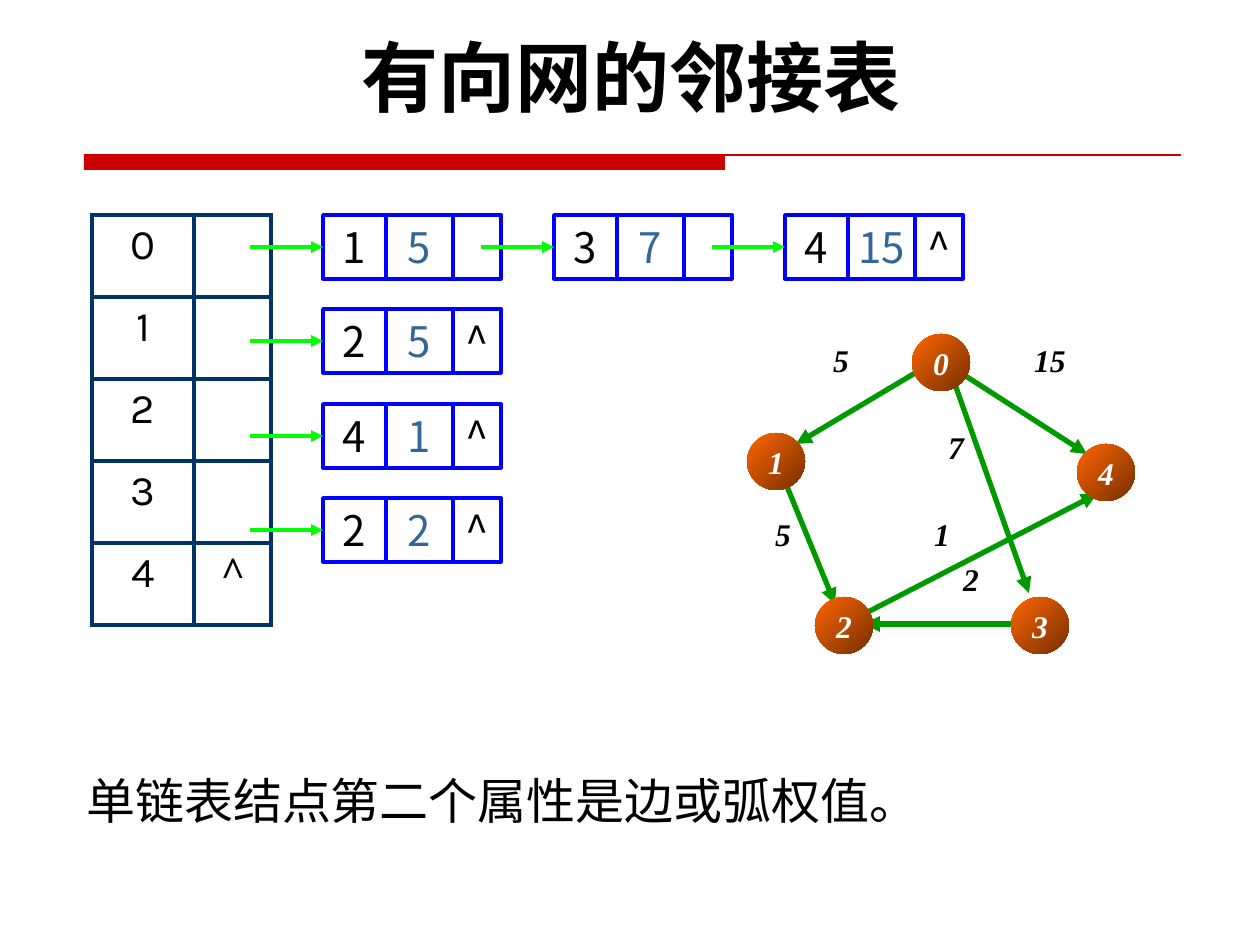
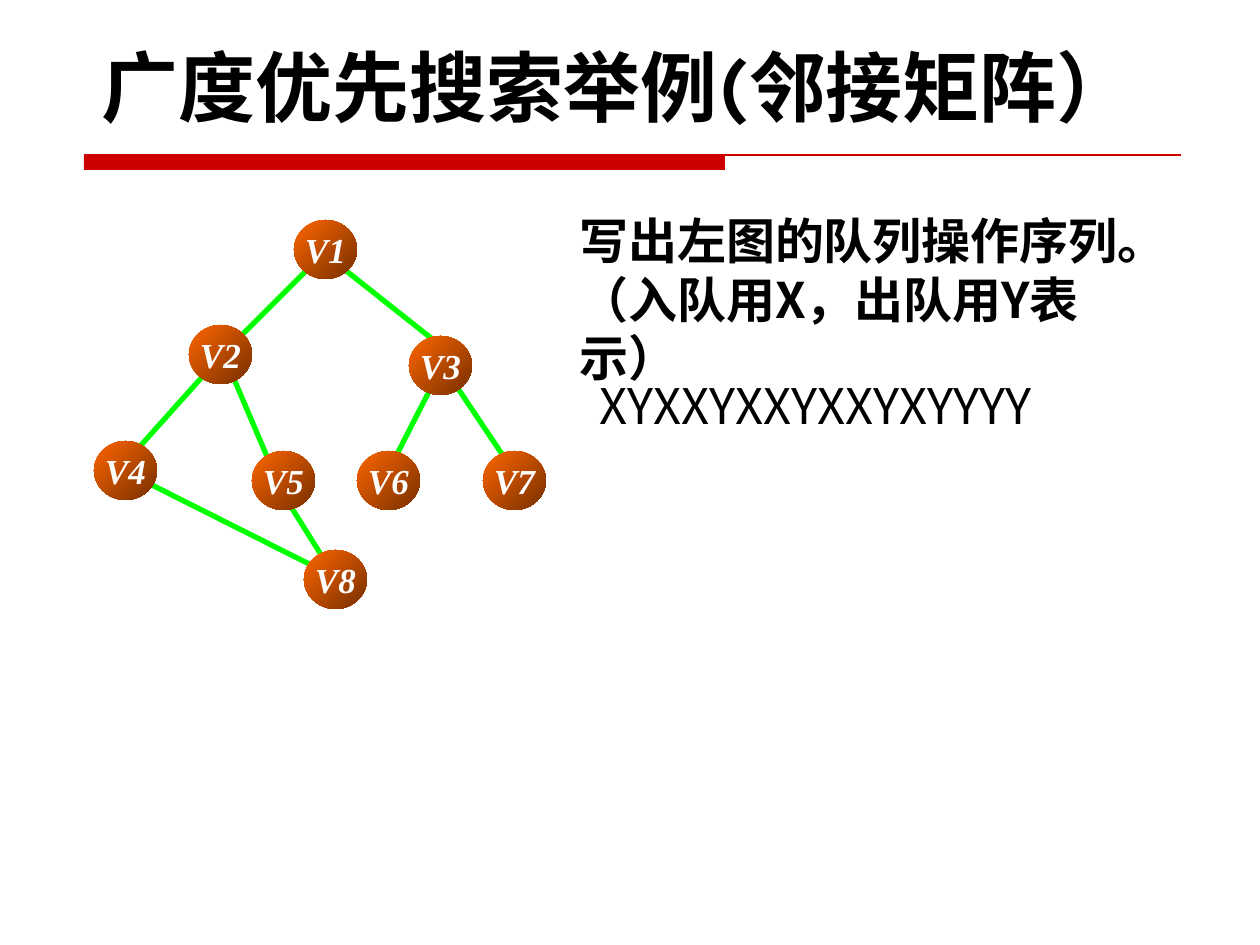
import pptx
import pptx.dml.color
import pptx.enum.dml
import pptx.enum.shapes
import pptx.enum.text
import pptx.oxml
import pptx.oxml.ns
import pptx.util
from lxml import etree

COLORS = {
    "black": "000000", "white": "FFFFFF", "band": "CC0000", "table": "003366",
    "cell": "0000FF", "weight": "336699", "pointer": "00FF00", "edge": "009900",
    "node_light": "FF6600", "node_dark": "762F00",
}
TITLE_FONT, BODY_FONT, NODE_FONT = "Karla", "Noto Sans CJK SC", "Times New Roman"
ALIGN = pptx.enum.text.PP_ALIGN
ANCHOR = pptx.enum.text.MSO_ANCHOR
SHAPE = pptx.enum.shapes.MSO_SHAPE
STRAIGHT = pptx.enum.shapes.MSO_CONNECTOR.STRAIGHT
EMU_PER_INCH, PX_PER_INCH = 914400, 126


def px(length):
    return pptx.util.Emu(round(length * EMU_PER_INCH / PX_PER_INCH))


def color(name):
    return pptx.dml.color.RGBColor.from_string(COLORS[name])


def write(frame, text, size, font, ink="black", bold=False, italic=False, align=ALIGN.CENTER):
    frame.text = text
    paragraph = frame.paragraphs[0]
    paragraph.alignment = align
    paragraph.font.size = pptx.util.Pt(size)
    paragraph.font.name = font
    paragraph.font.bold, paragraph.font.italic = bold, italic
    paragraph.font.color.rgb = color(ink)
    # East Asian characters take the body font
    latin = paragraph._p.pPr.find(".//" + pptx.oxml.ns.qn("a:latin"))
    east_asian = etree.Element(pptx.oxml.ns.qn("a:ea"), typeface=BODY_FONT)
    latin.addnext(east_asian)


def add_text(slide, box, text, size, font, anchor=ANCHOR.TOP, **style):
    frame = slide.shapes.add_textbox(*map(px, box)).text_frame
    frame.word_wrap = True
    frame.vertical_anchor = anchor
    write(frame, text, size, font, **style)


def add_line(slide, ends, ink, width, arrow=False):
    line = slide.shapes.add_connector(STRAIGHT, *map(px, ends))
    line.line.color.rgb = color(ink)
    line.line.width = pptx.util.Pt(width)
    properties = line._element.spPr
    if arrow:
        etree.SubElement(properties.find(pptx.oxml.ns.qn("a:ln")),
                         pptx.oxml.ns.qn("a:tailEnd"), type="triangle")
    etree.SubElement(properties, pptx.oxml.ns.qn("a:effectLst"))
    return line


def add_shape(slide, kind, box):
    shape = slide.shapes.add_shape(kind, *map(px, box))
    shape.shadow.inherit = False
    frame = shape.text_frame
    frame.margin_left = frame.margin_right = 0
    frame.vertical_anchor = ANCHOR.MIDDLE
    return shape


def add_titled_slide(presentation, title, box):
    slide = presentation.slides.add_slide(presentation.slide_layouts[5])
    # Red band and rule
    left, top = 84, 155
    band = add_shape(slide, SHAPE.RECTANGLE, (left, top, 641, 15))
    band.fill.solid()
    band.fill.fore_color.rgb = color("band")
    band.line.fill.background()
    add_line(slide, (left, top, left + 1097, top), "band", 0.75)
    # Title
    placeholder = slide.shapes.title
    placeholder.left, placeholder.top, placeholder.width, placeholder.height = map(px, box)
    placeholder.text_frame.vertical_anchor = ANCHOR.MIDDLE
    write(placeholder.text_frame, title, 44, TITLE_FONT, bold=True)
    return slide


def add_graph(slide, origin, node_size, text_size, nodes, edges, edge_ink, arrow):
    left, top = origin
    for x1, y1, x2, y2 in edges:
        add_line(slide, (left + x1, top + y1, left + x2, top + y2), edge_ink, 3, arrow)
    for name, (x, y) in nodes.items():
        node = add_shape(slide, SHAPE.OVAL, (left + x, top + y, *node_size))
        node.line.fill.background()
        node.fill.gradient()
        node.fill.gradient_angle = 315
        for stop, ink in zip(node.fill.gradient_stops, ("node_light", "node_dark")):
            stop.color.rgb = color(ink)
        node.text_frame.word_wrap = False
        write(node.text_frame, name, text_size, NODE_FONT, "white", bold=True, italic=True)


def add_vertex_table(slide, box, column_widths, vertices):
    table = slide.shapes.add_table(len(vertices), 2, *map(px, box)).table
    table.first_row = table.horz_banding = False
    for column, width in zip(table.columns, column_widths):
        column.width = px(width)
    for row, vertex in enumerate(vertices):
        table.rows[row].height = px(box[3] / len(vertices))
        write(table.cell(row, 0).text_frame, vertex, 24, TITLE_FONT)
    write(table.cell(len(vertices) - 1, 1).text_frame, "^", 24, NODE_FONT, bold=True, italic=True)
    for cell in table.iter_cells():
        properties = cell._tc.get_or_add_tcPr()
        for side in ("lnL", "lnR", "lnT", "lnB"):
            properties.append(pptx.oxml.parse_xml(
                f'<a:{side} {pptx.oxml.ns.nsdecls("a")} w="28575"><a:solidFill>'
                f'<a:srgbClr val="{COLORS["table"]}"/></a:solidFill></a:{side}>'))
        cell.fill.background()


def add_linked_lists(slide, origin, lists):
    left, top = origin
    widths, height, arrow_length = (63, 67, 48), 64, 73
    for row, list_nodes in enumerate(lists):
        y = top + 189 * row // 2
        for position, (vertex, weight) in enumerate(list_nodes):
            node_left = x = left + 231 * position
            pointer = "^" if position == len(list_nodes) - 1 else ""
            cells = []
            for text, width, ink in zip((vertex, weight, pointer), widths,
                                        ("black", "weight", "black")):
                cell = add_shape(slide, SHAPE.RECTANGLE, (x, y, width, height))
                cell.fill.background()
                cell.line.color.rgb = color("cell")
                cell.line.width = pptx.util.Pt(2)
                if text:
                    write(cell.text_frame, text, 24, BODY_FONT, ink)
                cells.append(cell)
                x += width
            middle = y + height / 2
            arrow = add_line(slide, (node_left - arrow_length, middle, node_left, middle),
                             "pointer", 2.25, arrow=True)
            arrow.end_connect(cells[0], 1)


def add_adjacency_slide(presentation):
    slide = add_titled_slide(presentation, "有向网的邻接表", (48, 23, 1166, 106))
    add_vertex_table(slide, (92, 215, 179, 410), (102, 77), "01234")
    # Weighted directed graph
    left, top = origin = 747, 334
    nodes = {"0": (165, 0), "1": (0, 99), "2": (68, 263), "3": (264, 263), "4": (330, 110)}
    edges = [(214, 39, 340, 120), (39, 150, 88, 270), (185, 29, 49, 110),
             (204, 39, 282, 259), (264, 290, 117, 290), (117, 280, 350, 160)]
    add_graph(slide, origin, (58, 57), 18, nodes, edges, "edge", arrow=True)
    weights = [("5", 94, 1), ("5", 36, 175), ("15", 303, 1),
               ("1", 195, 175), ("7", 209, 88), ("2", 224, 220)]
    for weight, center, y in weights:
        add_text(slide, (left + center - 36, top + y, 72, 63), weight, 18, NODE_FONT,
                 bold=True, italic=True)
    # One linked list per vertex with outgoing edges
    add_linked_lists(slide, (323, 215), [
        [("1", "5"), ("3", "7"), ("4", "15")], [("2", "5")], [("4", "1")], [("2", "2")]])
    add_text(slide, (74, 762, 1171, 74), "单链表结点第二个属性是边或弧权值。", 28, BODY_FONT,
             ANCHOR.BOTTOM, align=ALIGN.LEFT)


def add_search_slide(presentation):
    slide = add_titled_slide(presentation, "广度优先搜索举例(邻接矩阵）", (35, 33, 1166, 106))
    nodes = {"V1": (200, 0), "V2": (95, 105), "V3": (315, 116), "V4": (0, 221),
             "V5": (158, 231), "V6": (263, 231), "V7": (389, 231), "V8": (210, 330)}
    edges = [(126, 137, 32, 242), (221, 42, 126, 137), (189, 274, 126, 126),
             (241, 357, 32, 252), (241, 357, 189, 274), (241, 42, 347, 126),
             (347, 148, 294, 252), (357, 158, 420, 252)]
    add_graph(slide, (94, 220), (63, 59), 20, nodes, edges, "pointer", arrow=False)
    # Exercise and answer
    add_text(slide, (567, 204, 620, 131), "写出左图的队列操作序列。（入队用X，出队用Y表示）",
             28, BODY_FONT, bold=True, align=ALIGN.LEFT)
    add_text(slide, (587, 369, 600, 72), "XYXXYXXYXXYXYYYY", 28, BODY_FONT, align=ALIGN.LEFT)


def main():
    presentation = pptx.Presentation()
    presentation.slide_width, presentation.slide_height = px(1260), px(945)
    add_adjacency_slide(presentation)
    add_search_slide(presentation)
    presentation.save("out.pptx")


if __name__ == "__main__":
    main()
